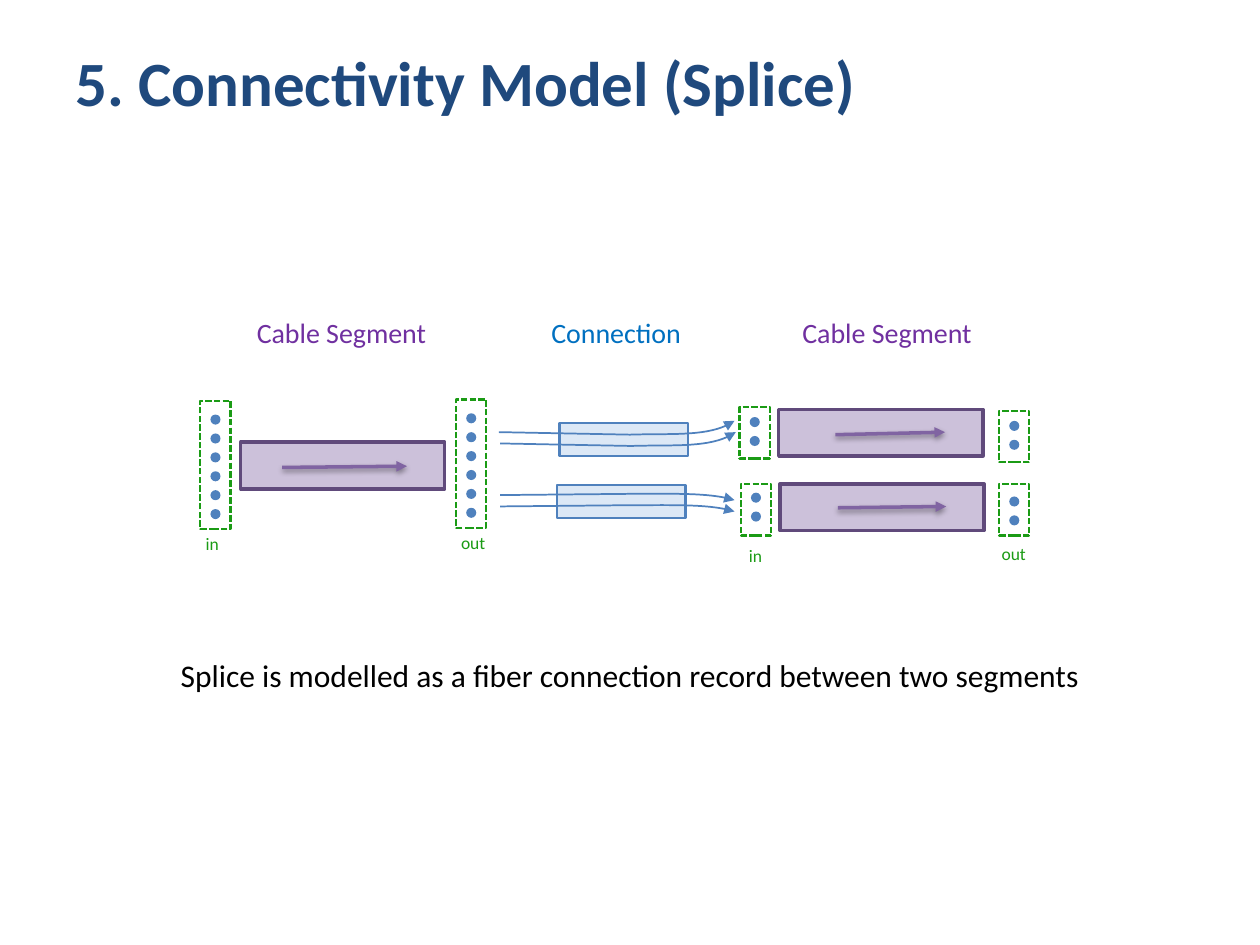
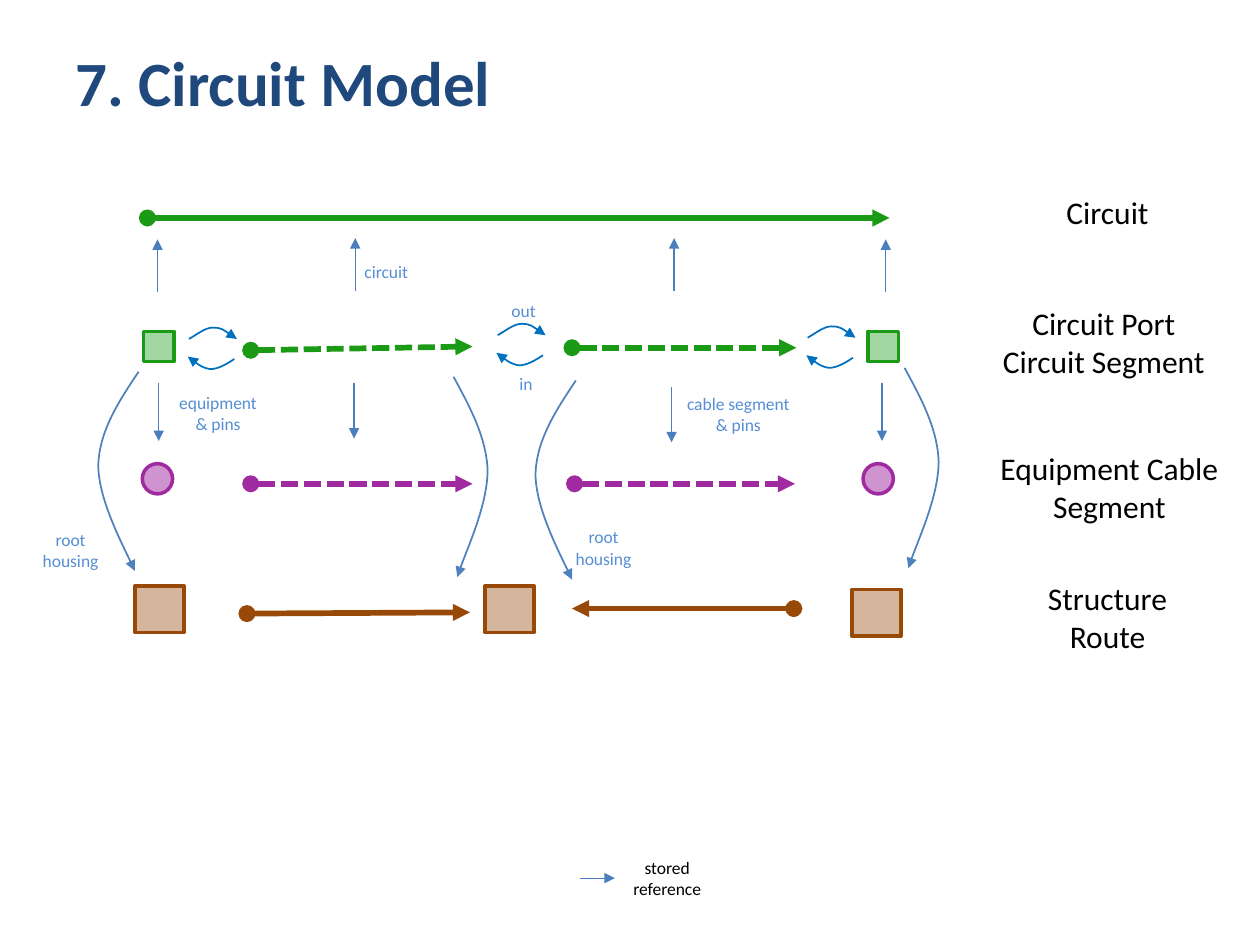
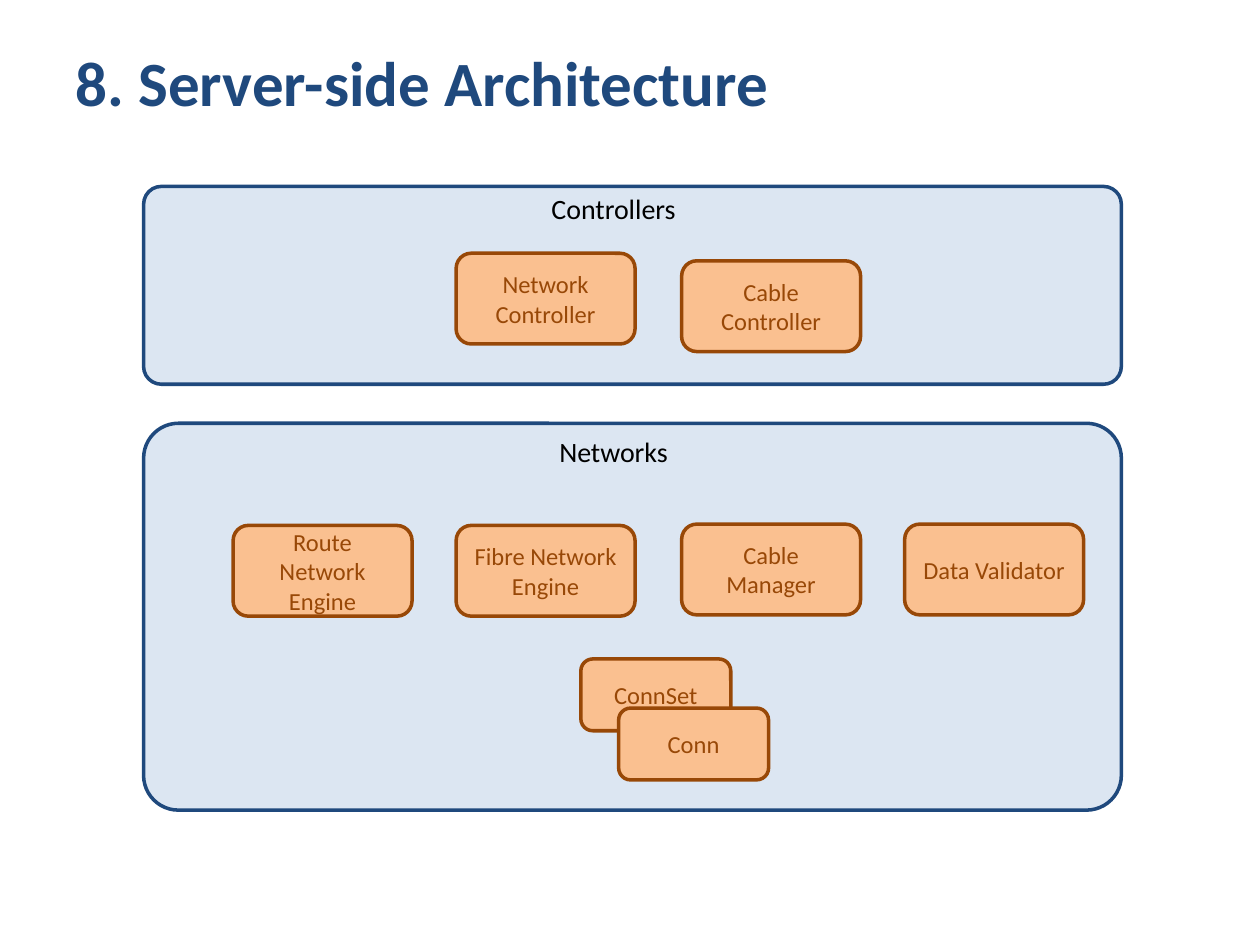
from lxml import etree
from pptx import Presentation
from pptx import util as u
from pptx.dml.color import RGBColor
from pptx.enum import dml, shapes, text
from pptx.oxml.ns import qn

FONT = "Calibri"
COLORS = {
    "navy": "1F497D", "black": "000000", "blue": "4F81BD", "reference": "4B7EBC",
    "bright": "0070C0", "label": "558ED5", "connection": "8EB4E3", "green": "1B9B15",
    "purple": "7030A0", "cable": "CCC1DA", "cable edge": "604A7B", "flow": "8064A2",
    "magenta": "A02AA0", "brown": "984807", "panel": "DCE6F2", "module": "FAC090",
}
RECT = shapes.MSO_SHAPE.RECTANGLE
ROUND = shapes.MSO_SHAPE.ROUNDED_RECTANGLE
OVAL = shapes.MSO_SHAPE.OVAL
CABLE_SIZE = (1.62, 0.37)
MODULE_SIZE = (1.42, 0.72)
PORT_PITCH = 0.15

NEXT_ARC = [(0, 0.09), (0.07, 0.05), (0.13, 0), (0.19, 0), (0.26, 0), (0.32, 0.05), (0.38, 0.09)]
BACK_ARC = [(0.36, 0.25), (0.3, 0.29), (0.23, 0.33), (0.17, 0.33), (0.11, 0.32), (0.05, 0.28), (-0.01, 0.23)]
BOW_LEFT = [(0, 0), (-0.16, 0.24), (-0.31, 0.47), (-0.32, 0.74), (-0.32, 1), (-0.09, 1.45), (-0.03, 1.58)]
BOW_RIGHT = [(0, 0), (0.13, 0.24), (0.26, 0.48), (0.27, 0.74), (0.27, 1.01), (0.07, 1.45), (0.03, 1.59)]
SPLICE_UP = [(0, 0.09), (1.04, 0.11), (1.35, 0.1), (1.69, 0.13), (1.87, 0)]
SPLICE_DOWN = [(0, 0.01), (1.04, 0), (1.35, 0), (1.68, -0.01), (1.86, 0.05)]


def rgb(color):
    return RGBColor.from_string(COLORS[color])


def write(frame, words, size=18, color="black", bold=False, align=text.PP_ALIGN.CENTER):
    frame.word_wrap = True
    frame.auto_size = text.MSO_AUTO_SIZE.NONE
    frame.vertical_anchor = text.MSO_ANCHOR.MIDDLE
    frame.text = words
    for para in frame.paragraphs:
        para.alignment = align
        for span in para.runs:
            span.font.name = FONT
            span.font.size = u.Pt(size)
            span.font.bold = bold
            span.font.color.rgb = rgb(color)


def add_page(deck, title):
    page = deck.slides.add_slide(deck.slide_layouts[5])
    box = page.shapes.title
    box.left, box.top, box.width, box.height = map(u.Inches, (0.5, 0.3, 9, 0.69))
    write(box.text_frame, title, size=36, color="navy", bold=True, align=text.PP_ALIGN.LEFT)
    return page


def add_label(page, words, left, top, width, height=0.29, size=10, color="label"):
    box = page.shapes.add_textbox(*map(u.Inches, (left, top, width, height)))
    write(box.text_frame, words, size=size, color=color)


def set_line(line, color, width, dashed=False):
    line.color.rgb = rgb(color)
    line.width = u.Pt(width)
    if dashed:
        line.dash_style = dml.MSO_LINE.SQUARE_DOT


def add_box(page, kind, left, top, width, height, fill=None, line=None, weight=2,
            dashed=False, opacity=None, words=None, corner=None):
    box = page.shapes.add_shape(kind, *map(u.Inches, (left, top, width, height)))
    box.shadow.inherit = False
    if fill:
        box.fill.solid()
        box.fill.fore_color.rgb = rgb(fill)
    else:
        box.fill.background()
    if opacity:
        tint = box.element.spPr.find(qn("a:solidFill"))[0]
        etree.SubElement(tint, qn("a:alpha"), val=str(opacity * 1000))
    if line:
        set_line(box.line, line, weight, dashed)
    else:
        box.line.fill.background()
    if corner:
        box.adjustments[0] = corner
    if words:
        write(box.text_frame, words, size=14, color=line)


def add_ends(shape, head, tail):
    outline = shape.element.spPr.find(qn("a:ln"))
    for tag, kind in (("a:headEnd", head), ("a:tailEnd", tail)):
        if kind:
            etree.SubElement(outline, qn(tag), type=kind)


def add_arrow(page, start, end, color="reference", width=0.75, dashed=False,
              head=None, tail="triangle", shadow=False):
    arrow = page.shapes.add_connector(shapes.MSO_CONNECTOR.STRAIGHT, *map(u.Inches, start + end))
    set_line(arrow.line, color, width, dashed)
    add_ends(arrow, head, tail)
    effects = etree.SubElement(arrow.element.spPr, qn("a:effectLst"))
    if shadow:
        cast = etree.SubElement(effects, qn("a:outerShdw"), blurRad=str(u.Pt(3.1)),
                                dist=str(u.Pt(1.6)), dir="5400000", rotWithShape="0")
        shade = etree.SubElement(cast, qn("a:srgbClr"), val=COLORS["black"])
        etree.SubElement(shade, qn("a:alpha"), val="38000")


def add_curve(page, left, top, offsets, color="blue"):
    points = [(u.Inches(left + x), u.Inches(top + y)) for x, y in offsets]
    builder = page.shapes.build_freeform(*points[0])
    builder.add_line_segments(points[1:], close=False)
    curve = builder.convert_to_shape()
    curve.shadow.inherit = False
    curve.fill.background()
    set_line(curve.line, color, 1)
    add_ends(curve, None, "triangle")
    steps = list(curve.element.iter(qn("a:lnTo")))
    outline = steps[0].getparent()
    for first in range(len(steps) % 3, len(steps), 3):
        bend = etree.SubElement(outline, qn("a:cubicBezTo"))
        for step in steps[first:first + 3]:
            bend.append(step[0])
            outline.remove(step)


def add_ports(page, left, top, count, height, first=0.08):
    for index in range(count):
        add_box(page, OVAL, left + 0.08, top + first + index * PORT_PITCH, 0.08, 0.08, fill="blue")
    add_box(page, RECT, left, top, 0.24, height, line="green", weight=1.25, dashed=True)


def add_cable(page, left, top, start, end):
    add_box(page, RECT, left, top, *CABLE_SIZE, fill="cable", line="cable edge")
    add_arrow(page, start, end, color="flow", width=2, shadow=True)


def add_module(page, words, left, top, size=MODULE_SIZE):
    add_box(page, ROUND, left, top, *size, fill="module", line="brown", words=words)


def build_splice(deck):
    page = add_page(deck, "5. Connectivity Model (Splice)")
    for words, left, color in (("Cable Segment", 1.79, "purple"), ("Connection", 3.97, "bright"),
                               ("Cable Segment", 6.12, "purple")):
        add_label(page, words, left, 2.45, 1.84, 0.37, size=16, color=color)
    for left, top in ((4.44, 3.36), (4.42, 3.85)):
        add_box(page, RECT, left, top, 1.02, 0.26, fill="connection", opacity=30, line="blue", weight=1.25)

    add_cable(page, 1.91, 3.51, (2.24, 3.71), (3.23, 3.7))
    add_cable(page, 6.18, 3.25, (6.63, 3.45), (7.5, 3.43))
    add_cable(page, 6.19, 3.84, (6.65, 4.03), (7.51, 4.02))
    for left, top in ((1.59, 3.18), (3.62, 3.17)):
        add_ports(page, left, top, 6, 1.02, first=0.11)
    for left, top, first in ((5.87, 3.23, 0.08), (7.93, 3.26, 0.08), (5.88, 3.84, 0.07), (7.93, 3.84, 0.1)):
        add_ports(page, left, top, 2, 0.41, first=first)
    for words, left, top in (("in", 1.41, 4.17), ("out", 3.48, 4.16), ("in", 5.72, 4.26), ("out", 7.77, 4.25)):
        add_label(page, words, left, top, 0.55, color="green")

    for left, top, offsets in ((3.96, 3.34, SPLICE_UP), (3.97, 3.43, SPLICE_UP),
                               (3.97, 3.92, SPLICE_DOWN), (3.97, 4.01, SPLICE_DOWN)):
        add_curve(page, left, top, offsets)
    add_label(page, "Splice is modelled as a fiber connection record between two segments",
              1.21, 4.99, 7.58, 0.73, size=18, color="black")


def build_circuit(deck):
    page = add_page(deck, "7. Circuit Model")
    for words, left, top, width in (("Circuit", 7.8, 1.41, 1.98), ("Circuit Port Circuit Segment", 7.77, 2.44, 1.98),
                                    ("Equipment Cable Segment", 7.84, 3.59, 1.93),
                                    ("Structure Route", 8.12, 4.62, 1.34)):
        add_label(page, words, left, top, width, 0.55, size=18, color="black")

    for start, end, color, dashed in (
            ((1.17, 1.73), (7.06, 1.73), "green", False),
            ((1.99, 2.78), (3.75, 2.75), "green", True),
            ((4.54, 2.76), (6.32, 2.76), "green", True),
            ((1.99, 3.84), (3.75, 3.84), "magenta", True),
            ((4.56, 3.84), (6.31, 3.84), "magenta", True),
            ((1.96, 4.87), (3.73, 4.86), "brown", False),
            ((6.3, 4.83), (4.54, 4.83), "brown", False)):
        add_arrow(page, start, end, color=color, width=3.25, dashed=dashed, head="oval")

    for left in (1.14, 6.89):
        add_box(page, RECT, left, 2.63, 0.24, 0.24, fill="green", opacity=40, line="green")
    for left in (1.13, 6.85):
        add_box(page, OVAL, left, 3.68, 0.24, 0.24, fill="magenta", opacity=50, line="magenta")
    for left, top in ((1.07, 4.65), (3.85, 4.65), (6.76, 4.68)):
        add_box(page, RECT, left, top, 0.39, 0.37, fill="brown", opacity=40, line="brown")

    for x, start, end in ((1.25, 2.32, 1.9), (2.82, 2.31, 1.89), (5.35, 2.31, 1.89), (7.03, 2.32, 1.9),
                          (1.26, 3.04, 3.5), (2.81, 3.04, 3.48), (5.33, 3.07, 3.51), (7, 3.04, 3.5)):
        add_arrow(page, (x, start), (x, end))
    for left, top in ((1.5, 2.6), (3.95, 2.57), (6.41, 2.59)):
        for arc in (NEXT_ARC, BACK_ARC):
            add_curve(page, left, top, arc, color="bright")
    for left, top, bow in ((1.1, 2.95, BOW_LEFT), (3.6, 2.99, BOW_RIGHT),
                           (4.57, 3.02, BOW_LEFT), (7.18, 2.92, BOW_RIGHT)):
        add_curve(page, left, top, bow)

    for words, left, top, width in (("circuit", 2.76, 2.01, 0.61), ("out", 3.85, 2.32, 0.61), ("in", 3.87, 2.9, 0.61),
                                    ("equipment\n& pins", 1.29, 3.13, 0.88),
                                    ("cable segment\n& pins", 5.28, 3.14, 1.16),
                                    ("root housing", 0.19, 4.22, 0.74), ("root housing", 4.42, 4.2, 0.74)):
        add_label(page, words, left, top, width)
    add_arrow(page, (4.6, 6.97), (4.88, 6.97))
    add_label(page, "stored reference", 4.84, 6.82, 0.91, color="black")


def build_architecture(deck):
    page = add_page(deck, "8. Server-side Architecture")
    for words, top, height, label_top in (("Controllers", 1.48, 1.57, 1.43), ("Networks", 3.36, 3.07, 3.36)):
        add_box(page, ROUND, 1.14, top, 7.76, height, fill="panel", line="navy", corner=0.09)
        add_label(page, words, 3.76, label_top, 2.22, 0.45, size=16, color="black")
    for words, left, top in (("Network Controller", 3.62, 2.01), ("Cable Controller", 5.41, 2.07),
                             ("Route Network Engine", 1.85, 4.17), ("Fibre Network Engine", 3.62, 4.17),
                             ("Cable Manager", 5.41, 4.16), ("Data Validator", 7.18, 4.16)):
        add_module(page, words, left, top)
    for words, left, top in (("ConnSet", 4.61, 5.23), ("Conn", 4.91, 5.62)):
        add_module(page, words, left, top, size=(1.19, 0.57))


def main():
    deck = Presentation()
    deck.slide_width, deck.slide_height = u.Inches(10), u.Inches(7.5)
    build_splice(deck)
    build_circuit(deck)
    build_architecture(deck)
    deck.save("out.pptx")


if __name__ == "__main__":
    main()
